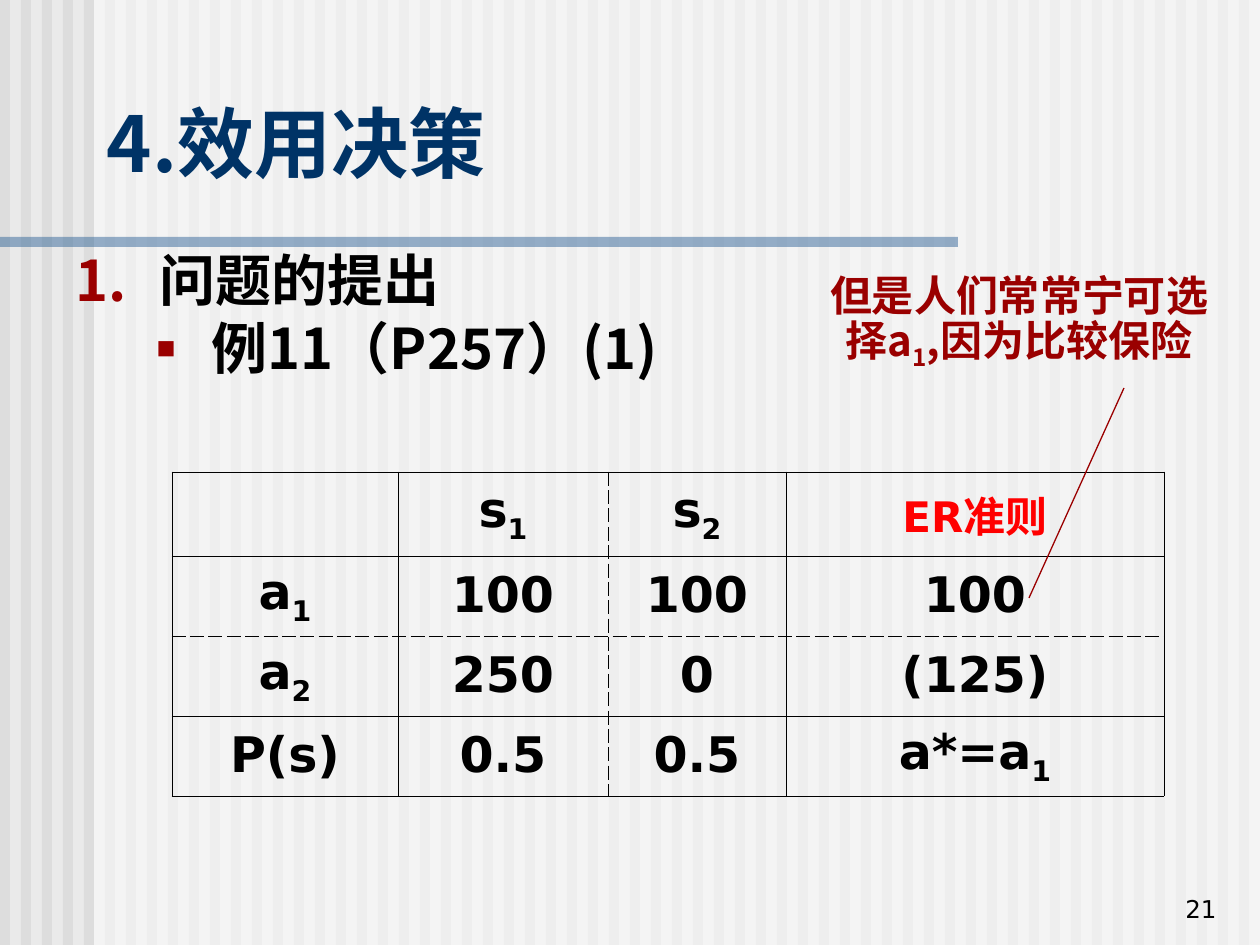
"""Builds the slide on utility decisions, with its payoff table and remark."""
from lxml.etree import SubElement as Sub
from pptx import Presentation
from pptx.dml.color import RGBColor as Rgb
from pptx.enum.shapes import MSO_CONNECTOR as Link, MSO_SHAPE as Shape
from pptx.enum.text import MSO_ANCHOR as Anchor, MSO_AUTO_SIZE as Auto, PP_ALIGN as Align
from pptx.oxml.ns import qn
from pptx.util import Emu, Pt

PX = 914400 / 126
BLACK, RED, WINE = Rgb(0, 0, 0), Rgb(255, 0, 0), Rgb(0x9A, 0, 0)
NAVY, BLUE, WHITE = Rgb(0, 0x33, 0x66), Rgb(0x33, 0x66, 0x99), Rgb(255, 255, 255)
PALE, GREY = Rgb(0xEA, 0xEA, 0xEA), Rgb(0xDD, 0xDD, 0xDD)
NOTO, SANS, ARIAL = "Noto Sans CJK SC", "DejaVu Sans", "Arial"

TITLE = ["4.效用决策"]
ITEMS = [
    (["问题的提出"], ARIAL, 84, -84, "buAutoNum", {"type": "arabicPeriod"}),
    (["例11（P257）(1)"], NOTO, 136, -73, "buChar", {"char": "▪"}),
]
NOTE = ["但是人们常常宁可选择a", "_1", ",因为比较保险"]
ROWS = [
    [[], [], ["s", "_1"], ["s", "_2"], ["ER准则"]],
    [["a", "_1"], [], ["100"], ["100"], ["100"]],
    [["a", "_2"], [], ["250"], ["0"], ["(125)"]],
    [["P(s)"], [], ["0.5"], ["0.5"], ["a*=a", "_1"]],
]
COLS, HIGH = [131, 95, 210, 178, 378], [84, 80, 80, 80]
DASH_COL, DASH_ROW, OPEN_COL = 3, 2, 1
STRIPES, STEP = 60, 21


def px(*vals):
    return [Emu(round(v * PX)) for v in vals]


def write(para, parts, font, size, color, bold=True):
    for part in parts:
        run = para.add_run()
        run.text = part.lstrip("_")
        face = run.font
        face.name, face.size, face.bold = font, Pt(size), bold
        face.color.rgb = color
        props = run._r.get_or_add_rPr()
        Sub(props, qn("a:ea"), typeface=NOTO)
        if part.startswith("_"):
            props.set("baseline", "-25000")


def place(shape, box, anchor):
    shape.left, shape.top, shape.width, shape.height = px(*box)
    frame = shape.text_frame
    frame.word_wrap, frame.auto_size = True, Auto.NONE
    frame.vertical_anchor = anchor
    return frame


def block(shapes, box, color, alpha=None):
    rect = shapes.add_shape(Shape.RECTANGLE, *px(*box))
    rect.shadow.inherit = False
    rect.fill.solid()
    rect.fill.fore_color.rgb = color
    rect.line.fill.background()
    if alpha:
        tint = rect._element.spPr.find(".//" + qn("a:srgbClr"))
        Sub(tint, qn("a:alpha"), val=str(alpha * 1000))


def edge(props, side, dash, shown):
    line = Sub(props, qn("a:ln" + side), w="5715")
    if not shown:
        Sub(line, qn("a:noFill"))
        return
    fill = Sub(line, qn("a:solidFill"))
    Sub(fill, qn("a:srgbClr"), val=str(BLACK))
    Sub(line, qn("a:prstDash"), val="dash" if dash else "solid")


def backdrop(slide):
    slide.background.fill.solid()
    slide.background.fill.fore_color.rgb = PALE
    group = slide.shapes.add_group_shape().shapes
    for i in range(STRIPES):
        block(group, (i * STEP, 0, 10, 945), GREY)
    block(group, (94, 0, 1166, 945), WHITE, 50)
    block(group, (0, 237, 958, 10), BLUE, 50)


def heads(slide):
    title, body = slide.placeholders
    for holder in (title, body):
        slide.shapes._spTree.append(holder._element)
    para = place(title, (94, 63, 1071, 158), Anchor.MIDDLE).paragraphs[0]
    para.alignment = Align.LEFT
    write(para, TITLE, NOTO, 44, NAVY)
    frame = place(body, (63, 252, 1124, 640), Anchor.TOP)
    for i, (parts, font, left, hang, kind, mark) in enumerate(ITEMS):
        para = frame.add_paragraph() if i else frame.paragraphs[0]
        para.level, para.alignment = i, Align.JUSTIFY
        para.space_before, para.line_spacing = Pt(8), 0.8
        write(para, parts, font, 32, BLACK)
        props = para._p.get_or_add_pPr()
        props.set("marL", str(px(left)[0]))
        props.set("indent", str(px(hang)[0]))
        Sub(Sub(props, qn("a:buClr")), qn("a:srgbClr"), val=str(WINE))
        Sub(props, qn("a:buFont"), typeface=NOTO)
        Sub(props, qn("a:" + kind), **mark)


def payoffs(slide):
    box = px(172, 472, sum(COLS), sum(HIGH))
    table = slide.shapes.add_table(len(ROWS), len(COLS), *box).table
    table.first_row = table.horz_banding = False
    for col, wide in zip(table.columns, COLS):
        col.width = px(wide)[0]
    for row, high in zip(table.rows, HIGH):
        row.height = px(high)[0]
    for r in range(1, len(ROWS)):
        table.cell(r, 0).merge(table.cell(r, 1))
    for r, row in enumerate(ROWS):
        for c, parts in enumerate(row):
            cell = table.cell(r, c)
            if cell.is_spanned:
                continue
            cell.vertical_anchor = Anchor.MIDDLE
            end = c + (cell.span_width if cell.is_merge_origin else 1)
            props = cell._tc.get_or_add_tcPr()
            for side, at in (("L", c), ("R", end)):
                edge(props, side, at == DASH_COL, at != OPEN_COL)
            for side, at in (("T", r), ("B", r + 1)):
                edge(props, side, at == DASH_ROW, True)
            cell.fill.background()
            para = cell.text_frame.paragraphs[0]
            para.alignment = Align.CENTER
            rule = r == 0 and c == len(COLS) - 1
            para.space_before = Pt(6 if rule else 7)
            write(para, parts, SANS, 24 if rule else 28, RED if rule else BLACK)


def remark(slide):
    text = slide.shapes.add_textbox(0, 0, 0, 0)
    para = place(text, (809, 273, 420, 121), Anchor.TOP).paragraphs[0]
    para.alignment, para.line_spacing = Align.CENTER, 0.8
    para.space_before = Pt(5)
    write(para, NOTE, NOTO, 24, WINE)
    line = slide.shapes.add_connector(Link.STRAIGHT, *px(1124, 388, 1029, 598))
    line.line.color.rgb, line.line.width = WINE, Pt(0.75)
    Sub(line._element.spPr, qn("a:effectLst"))


def number(slide):
    text = slide.shapes.add_textbox(0, 0, 0, 0)
    para = place(text, (967, 867, 262, 63), Anchor.BOTTOM).paragraphs[0]
    para.alignment = Align.RIGHT
    write(para, ["21"], SANS, 14, BLACK, False)


def main():
    deck = Presentation()
    deck.slide_width, deck.slide_height = px(1260, 945)
    slide = deck.slides.add_slide(deck.slide_layouts[1])
    for draw in (backdrop, heads, payoffs, remark, number):
        draw(slide)
    deck.save("out.pptx")


if __name__ == "__main__":
    main()
